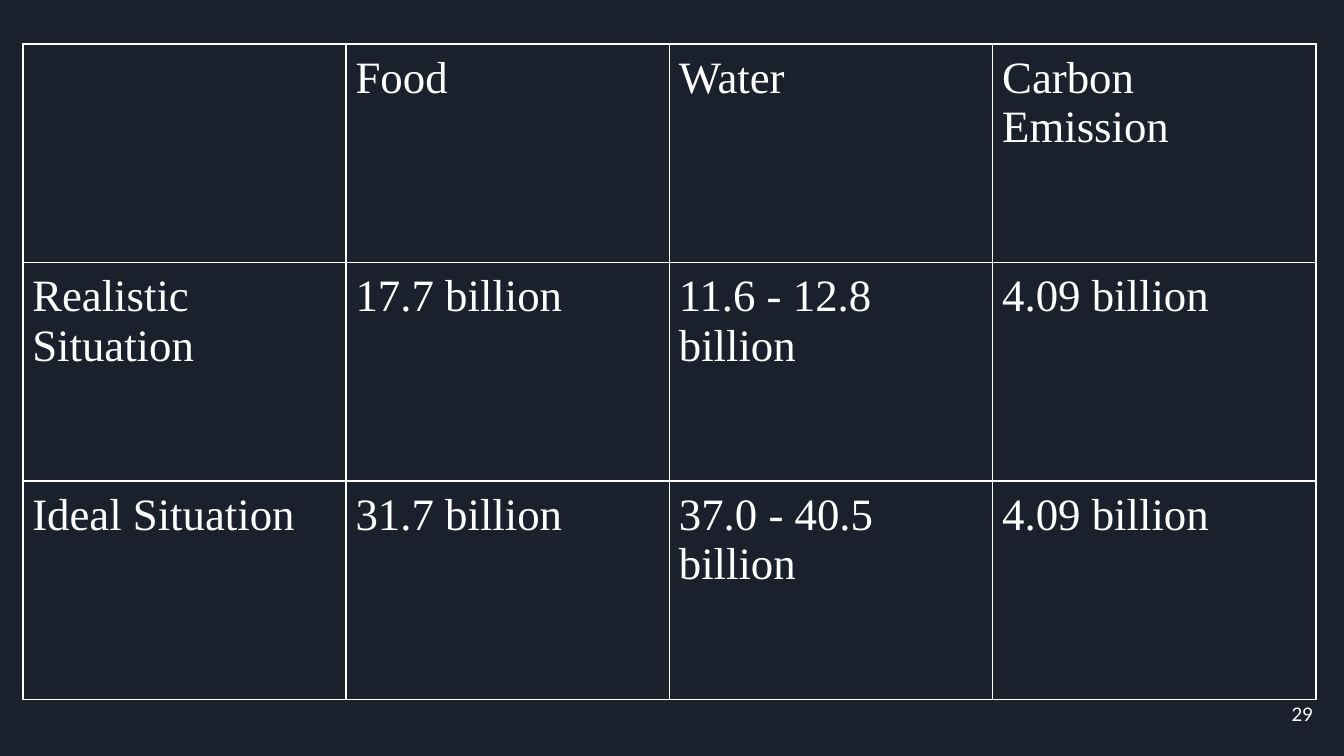
from lxml import etree
from pptx import Presentation
from pptx.dml.color import RGBColor
from pptx.enum.text import MSO_ANCHOR, PP_ALIGN
from pptx.oxml.ns import qn
from pptx.util import Cm, Pt

LEFT, RIGHT = PP_ALIGN.LEFT, PP_ALIGN.RIGHT
TOP, MIDDLE = MSO_ANCHOR.TOP, MSO_ANCHOR.MIDDLE

SITUATIONS = [
    ["", "Food", "Water", "Carbon Emission"],
    ["Realistic Situation", "17.7 billion", "11.6 - 12.8 billion", "4.09 billion"],
    ["Ideal Situation", "31.7 billion", "37.0 - 40.5 billion", "4.09 billion"],
]
PAGE_NUMBER = "29"
NAVY, WHITE = "1B212C", "FFFFFF"
COLUMN_WIDTH, ROW_HEIGHT = 6.11, 4.13
CELL_MARGIN = 0.18


def color(value):
    return RGBColor.from_string(value)


def write(frame, text, font="Times New Roman", size=24, align=LEFT):
    paragraph = frame.paragraphs[0]
    paragraph.alignment = align
    paragraph.font.size = Pt(size)
    if text:
        run = paragraph.add_run()
        run.text = text
        run.font.name = font
        run.font.size = Pt(size)
        run.font.color.rgb = color(WHITE)


def outline(cell, line_color, width):
    properties = cell._tc.get_or_add_tcPr()
    for side in ("a:lnL", "a:lnR", "a:lnT", "a:lnB"):
        border = etree.SubElement(properties, qn(side), w=str(Pt(width)))
        fill = etree.SubElement(border, qn("a:solidFill"))
        etree.SubElement(fill, qn("a:srgbClr"), val=line_color)


def add_situations(slide):
    row_count, column_count = len(SITUATIONS), len(SITUATIONS[0])
    table = slide.shapes.add_table(
        row_count, column_count, Cm(0.43), Cm(0.83),
        Cm(COLUMN_WIDTH * column_count), Cm(ROW_HEIGHT * row_count),
    ).table
    table.first_row = False
    table.horz_banding = False
    for column in table.columns:
        column.width = Cm(COLUMN_WIDTH)
    for row, texts in zip(table.rows, SITUATIONS):
        row.height = Cm(ROW_HEIGHT)
        for cell, text in zip(row.cells, texts):
            outline(cell, WHITE, 1)
            cell.fill.background()
            cell.margin_left = cell.margin_right = Cm(CELL_MARGIN)
            cell.margin_top = cell.margin_bottom = Cm(CELL_MARGIN)
            cell.vertical_anchor = TOP
            write(cell.text_frame, text)


def add_page_number(slide):
    frame = slide.shapes.add_textbox(Cm(23.55), Cm(12.95), Cm(1.52), Cm(1.09)).text_frame
    frame.word_wrap = True
    frame.vertical_anchor = MIDDLE
    frame.margin_left = frame.margin_right = Cm(0.25)
    frame.margin_top = frame.margin_bottom = Cm(0.25)
    write(frame, PAGE_NUMBER, font="Lato", size=10, align=RIGHT)


def main():
    presentation = Presentation()
    presentation.slide_width, presentation.slide_height = Cm(25.4), Cm(14.29)
    slide = presentation.slides.add_slide(presentation.slide_layouts[6])
    slide.background.fill.solid()
    slide.background.fill.fore_color.rgb = color(NAVY)
    add_page_number(slide)
    add_situations(slide)
    presentation.save("out.pptx")


if __name__ == "__main__":
    main()
